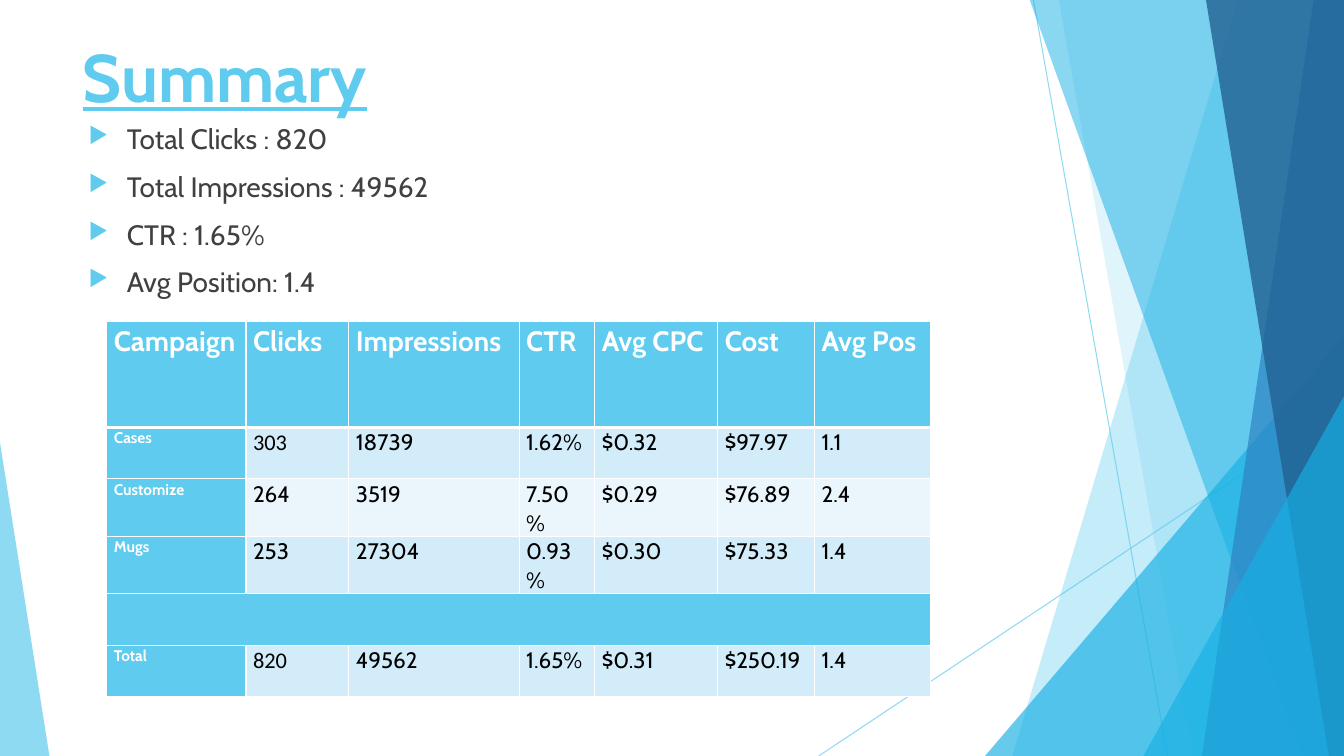
import dataclasses
import typing

import lxml.etree
import pptx
import pptx.dml.color
import pptx.enum.dml
import pptx.enum.shapes
import pptx.enum.text
import pptx.oxml
import pptx.oxml.ns
import pptx.util

Inches = pptx.util.Inches
Pt = pptx.util.Pt
qn = pptx.oxml.ns.qn


@dataclasses.dataclass(frozen=True)
class Theme:
    """Colours, fonts and type sizes."""
    sky: str = "5FCBEF"
    cyan: str = "17B0E4"
    blue: str = "2E83C3"
    navy: str = "226292"
    band_dark: str = "D2ECF9"
    band_light: str = "EAF6FC"
    white: str = "FFFFFF"
    ink: str = "404040"
    black: str = "000000"
    font: str = "Cabin"
    number_font: str = "Calibri"
    title_size: int = 48
    body_size: int = 20
    value_size: int = 16
    label_size: int = 11


class Box(typing.NamedTuple):
    """A region of the slide in inches."""
    left: float
    top: float
    width: float
    height: float

    def lengths(self):
        """Return the four values as lengths."""
        return [Inches(value) for value in self]


THEME = Theme()
HEADERS = ["Campaign", "Clicks", "Impressions", "CTR", "Avg CPC", "Cost", "Avg Pos"]
CAMPAIGNS = [
    ["Cases", "303", "18739", "1.62%", "$0.32", "$97.97", "1.1"],
    ["Customize", "264", "3519", "7.50%", "$0.29", "$76.89", "2.4"],
    ["Mugs", "253", "27304", "0.93%", "$0.30", "$75.33", "1.4"],
]
TOTAL = ["Total", "820", "49562", "1.65%", "$0.31", "$250.19", "1.4"]
POINTS = ["Total Clicks : 820", "Total Impressions : 49562", "CTR : 1.65%", "Avg Position: 1.4"]


def rgb(colour):
    """Turn a hex string into a colour."""
    return pptx.dml.color.RGBColor.from_string(colour)


def set_opacity(shape, percent):
    """Make the shape's explicit colours partly transparent."""
    for colour in shape.element.spPr.iter(qn("a:srgbClr")):
        lxml.etree.SubElement(colour, qn("a:alpha"), val=str(percent * 1000))


def paint(shape, colour, opacity):
    """Give a shape a translucent fill, no line and no shadow."""
    shape.shadow.inherit = False
    shape.fill.solid()
    shape.fill.fore_color.rgb = rgb(colour)
    shape.line.fill.background()
    set_opacity(shape, opacity)


def add_span(para, text, size, colour, bold=False, font=THEME.font):
    """Add one formatted run and return it."""
    span = para.add_run()
    span.text = text
    span.font.name = font
    span.font.size = Pt(size)
    span.font.bold = bold
    span.font.color.rgb = rgb(colour)
    return span


def add_triangle(page, box, apex, colour, opacity):
    """Add a right triangle whose apex is at 0 (left) or 1 (right)."""
    kind = pptx.enum.shapes.MSO_SHAPE.ISOSCELES_TRIANGLE
    triangle = page.shapes.add_shape(kind, *box.lengths())
    triangle.adjustments[0] = apex
    paint(triangle, colour, opacity)


def add_ray(page, start, end):
    """Add a thin translucent line."""
    kind = pptx.enum.shapes.MSO_CONNECTOR.STRAIGHT
    ray = page.shapes.add_connector(kind, *map(Inches, start + end))
    ray.line.color.rgb = rgb(THEME.sky)
    ray.line.width = Pt(0.75)
    set_opacity(ray, 70)
    lxml.etree.SubElement(ray.element.spPr, qn("a:effectLst"))


def add_facet(page, box, top_reach, bottom_reach, colour, opacity):
    """Add a panel from the box's right edge, reaching left at top and bottom."""
    right, bottom = box.left + box.width, box.top + box.height
    top = box.top - 0.01
    corners = [(right - top_reach, top), (right, top), (right, bottom),
               (right - bottom_reach, bottom)]
    points = [(Inches(x), Inches(y)) for x, y in corners]
    builder = page.shapes.build_freeform(*points[0], scale=1.0)
    builder.add_line_segments(points[1:], close=True)
    paint(builder.convert_to_shape(), colour, opacity)


def add_facets(page, box):
    """Layer the rays, panels and triangles at the right of the slide."""
    right, bottom = box.left + box.width, box.top + box.height

    def add_corner(width, height):
        corner = Box(right - width, bottom - height, width, height)
        add_triangle(page, corner, 1, THEME.cyan, 66)

    add_ray(page, (right - 3.08, box.top), (right - 1.75, bottom))
    add_ray(page, (right, box.top + 4.03), (box.left, bottom))
    add_facet(page, box, 1.05, 3.29, THEME.sky, 36)
    add_facet(page, box, 2.83, 1.5, THEME.sky, 20)
    add_corner(3.56, 4.17)
    add_facet(page, box, 3.12, 0.42, THEME.cyan, 50)
    add_facet(page, box, 0.3, 1.41, THEME.blue, 70)
    add_facet(page, box, 1.37, 0.15, THEME.navy, 80)
    add_corner(1.99, 3.57)


def add_title(page, box, text):
    """Add the underlined title, centred vertically in its box."""
    frame = page.shapes.add_textbox(*box.lengths()).text_frame
    frame.word_wrap = True
    frame.vertical_anchor = pptx.enum.text.MSO_ANCHOR.MIDDLE
    span = add_span(frame.paragraphs[0], text, THEME.title_size, THEME.sky, bold=True)
    span.font.underline = True


def add_bullets(page, box, points):
    """Add the list with coloured arrow bullets."""
    frame = page.shapes.add_textbox(*box.lengths()).text_frame
    frame.word_wrap = True
    for index, text in enumerate(points):
        para = frame.add_paragraph() if index else frame.paragraphs[0]
        para.space_before = Pt(10)
        add_span(para, text, THEME.body_size, THEME.ink)
        layout = para._p.get_or_add_pPr()
        layout.set("marL", str(Inches(0.38)))
        layout.set("indent", str(-Inches(0.38)))
        colour = lxml.etree.SubElement(layout, qn("a:buClr"))
        lxml.etree.SubElement(colour, qn("a:srgbClr"), val=THEME.sky)
        lxml.etree.SubElement(layout, qn("a:buSzPct"), val="80000")
        lxml.etree.SubElement(layout, qn("a:buChar"), char="\u25b6")


def style_cell(cell, fill, top=1, bottom=1):
    """Set a cell's white borders, margins and fill."""
    properties = cell._tc.get_or_add_tcPr()
    for side, width in (("L", 1), ("R", 1), ("T", top), ("B", bottom)):
        line = lxml.etree.SubElement(properties, qn(f"a:ln{side}"), w=str(Pt(width)))
        solid = lxml.etree.SubElement(line, qn("a:solidFill"))
        lxml.etree.SubElement(solid, qn("a:srgbClr"), val=THEME.white)
    cell.margin_left = cell.margin_right = Inches(0.07)
    cell.margin_top = cell.margin_bottom = 0
    cell.fill.solid()
    cell.fill.fore_color.rgb = rgb(fill)


def add_campaign_table(page, box):
    """Add the campaign results with a divider row above the total."""
    widths = [1.38, 1.02, 1.69, 0.75, 1.22, 0.96, 1.15]
    rows = [HEADERS, *CAMPAIGNS, [""] * len(HEADERS), TOTAL]
    divider = len(rows) - 2
    table = page.shapes.add_table(len(rows), len(widths), *box.lengths()).table
    for column, width in zip(table.columns, widths):
        column.width = Inches(width)
    for r, values in enumerate(rows):
        table.rows[r].height = Inches(0.51 if r else 1.05)
        band = THEME.band_dark if r % 2 else THEME.band_light
        for c, text in enumerate(values):
            solid = r in (0, divider) or c == 0
            cell = table.cell(r, c)
            style_cell(cell, THEME.sky if solid else band,
                       top=3 if r == 1 else 1, bottom=1 if r else 3)
            if not text:
                continue
            size = THEME.body_size if r == 0 else THEME.value_size if c else THEME.label_size
            font = THEME.number_font if c == 1 and text in ("303", "820") else THEME.font
            para = cell.text_frame.paragraphs[0]
            para.line_spacing = 1.07
            add_span(para, text, size, THEME.white if solid else THEME.black, solid, font)
    table.cell(divider, 0).merge(table.cell(divider, len(widths) - 1))


def add_summary(page, box):
    """Build the summary slide within the given box."""
    right, bottom = box.left + box.width, box.top + box.height
    add_facets(page, Box(right - 5.21, box.top, 5.21, box.height))
    add_triangle(page, Box(box.left, bottom - 3.11, 0.49, 3.11), 0, THEME.sky, 70)
    add_title(page, Box(box.left + 0.72, box.top + 0.26, 10.29, 0.98), "Summary")
    add_bullets(page, Box(box.left + 0.78, box.top + 1.16, 10.17, 5.79), POINTS)
    add_campaign_table(page, Box(box.left + 1.06, box.top + 3.19, 8.16, 3.62))


deck = pptx.Presentation()
deck.slide_width, deck.slide_height = Inches(13.33), Inches(7.5)
add_summary(deck.slides.add_slide(deck.slide_layouts[6]), Box(0, 0, 13.33, 7.5))
deck.save("out.pptx")
